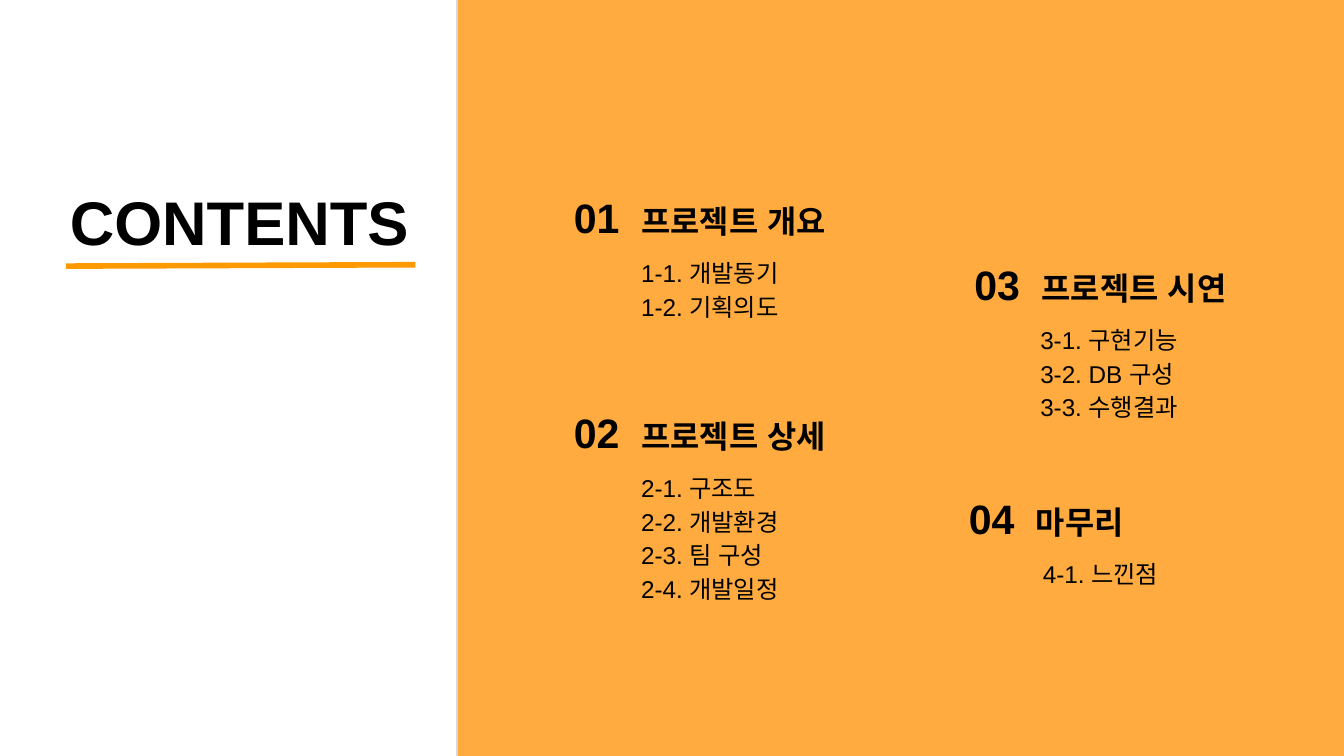
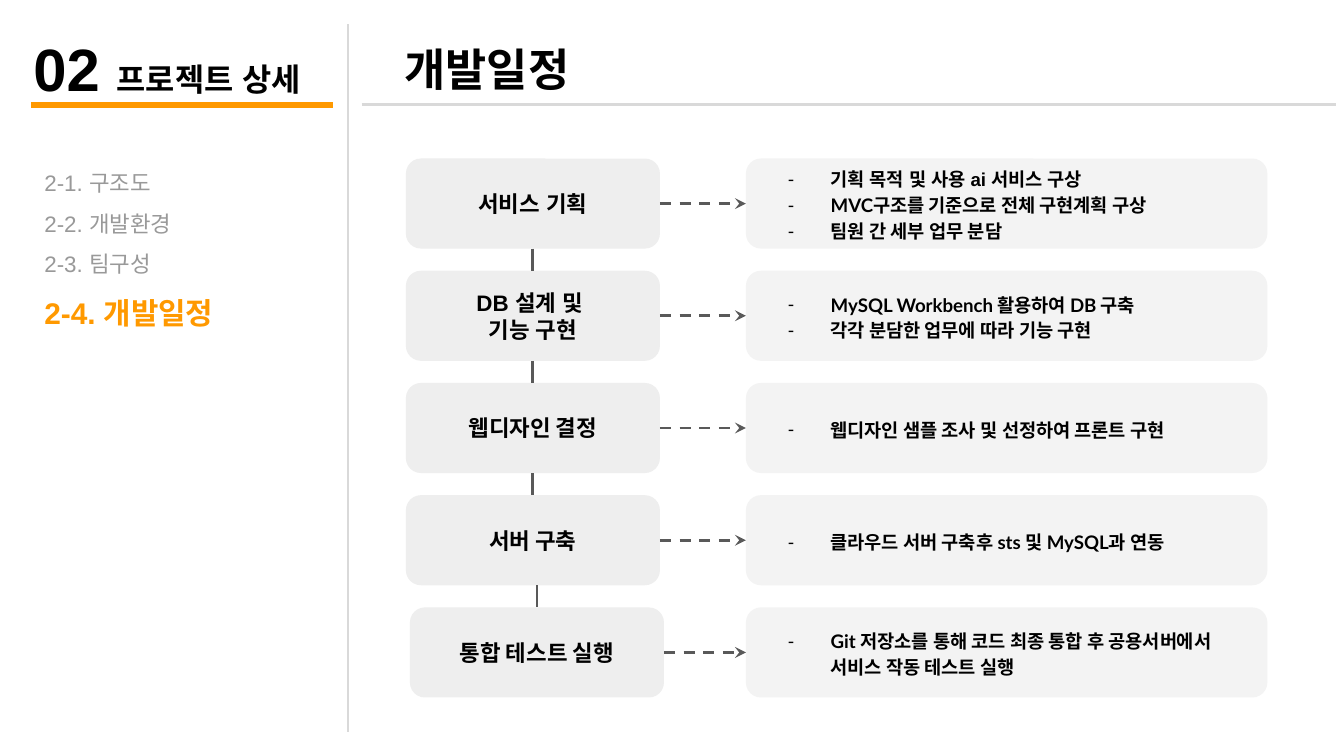
from dataclasses import dataclass

from lxml.etree import SubElement
from pptx import Presentation
from pptx.dml.color import RGBColor
from pptx.enum.dml import MSO_LINE
from pptx.enum.shapes import MSO_CONNECTOR, MSO_SHAPE
from pptx.enum.text import MSO_ANCHOR, MSO_AUTO_SIZE, PP_ALIGN
from pptx.oxml.ns import qn
from pptx.util import Inches, Pt


@dataclass(frozen=True)
class Theme:
    # Colours
    ink: str = "000000"
    panel: str = "FFAB40"
    accent: str = "FF9900"
    rule: str = "D9D9D9"
    muted: str = "999999"
    step: str = "EEEEEE"
    detail: str = "F3F3F3"
    flow: str = "595959"
    # Fonts
    sans: str = "Arial"
    korean: str = "Noto Sans CJK KR"
    latin: str = "Lato"
    # Type sizes
    contents: int = 33
    chapter: int = 32
    heading: int = 24
    number: int = 22
    section: int = 17
    current: int = 16
    item: int = 13
    label: int = 12
    note: int = 10


THEME = Theme()
SLIDE_WIDTH = 10
SLIDE_HEIGHT = SLIDE_WIDTH * 9 / 16

# Contents: number, section, heading corner, heading inset, list corner, list height, items
SECTIONS = [
    ("01", "프로젝트 개요", (3.95, 1.33), 0.32, (4.67, 1.79), 0.92,
     ["1-1. 개발동기", "1-2. 기획의도"]),
    ("02", "프로젝트 상세", (3.95, 2.93), 0.32, (4.67, 3.39), 1.43,
     ["2-1. 구조도", "2-2. 개발환경", "2-3. 팀 구성", "2-4. 개발일정"]),
    ("03", "프로젝트 시연", (6.93, 1.83), 0.32, (7.64, 2.29), 1.18,
     ["3-1. 구현기능", "3-2. DB 구성", "3-3. 수행결과"]),
    ("04", "마무리", (7.11, 3.57), 0.1, (7.66, 4.03), 0.42,
     ["4-1. 느낀점"]),
]

# Schedule: step lines, step font, left edge, details with their fonts
STEPS = [
    (["서비스 기획"], THEME.sans, 3.02,
     [("기획 목적 및 사용 ai 서비스 구상", THEME.sans),
      ("MVC구조를 기준으로 전체 구현계획 구상", THEME.latin),
      ("팀원 간 세부 업무 분담", THEME.latin)]),
    (["DB 설계 및 ", "기능 구현"], THEME.sans, 3.02,
     [("MySQL Workbench 활용하여 DB 구축", THEME.latin),
      ("각각 분담한 업무에 따라 기능 구현", THEME.latin)]),
    (["웹디자인 결정"], THEME.korean, 3.02,
     [("웹디자인 샘플 조사 및 선정하여 프론트 구현", THEME.latin)]),
    (["서버 구축"], THEME.korean, 3.02,
     [("클라우드 서버 구축후 sts 및 MySQL과 연동", THEME.latin)]),
    (["통합 테스트 실행"], THEME.korean, 3.05,
     [("Git 저장소를 통해 코드 최종 통합 후 공용서버에서 서비스 작동 테스트 실행", THEME.latin)]),
]
FIRST_TOP, LAST_TOP = 1.18, 4.52
STEP_WIDTH, ROW_HEIGHT = 1.89, 0.67
DETAIL_LEFT, DETAIL_WIDTH = 5.55, 3.88


def apply(target, values):
    for attribute, value in values.items():
        setattr(target, attribute, value)


def place(shape, left, top, width, height):
    names = ("left", "top", "width", "height")
    apply(shape, dict(zip(names, map(Inches, (left, top, width, height)))))


def set_frame(frame, anchor=MSO_ANCHOR.TOP, grow=True, inset=0.1):
    apply(frame, {
        "word_wrap": True,
        "auto_size": MSO_AUTO_SIZE.SHAPE_TO_FIT_TEXT if grow else MSO_AUTO_SIZE.NONE,
        "vertical_anchor": anchor,
        "margin_left": Inches(inset), "margin_right": Inches(0.1),
        "margin_top": Inches(0.1), "margin_bottom": Inches(0.1),
    })


def add_run(paragraph, text, size, color=THEME.ink, bold=True, font=THEME.sans):
    run = paragraph.add_run()
    run.text = text
    apply(run.font, {"name": font, "size": Pt(size), "bold": bold})
    run.font.color.rgb = RGBColor.from_string(color)
    for script in ("a:ea", "a:cs"):
        SubElement(run.font._element, qn(script), typeface=font)


def set_paragraph(paragraph, align=PP_ALIGN.LEFT, spacing=1.0, bullet=None, tab=None):
    properties = paragraph._p.get_or_add_pPr()
    margin, indent = (0.5, -0.32) if bullet else (0, 0)
    properties.set("marL", str(Inches(margin)))
    properties.set("indent", str(Inches(indent)))
    if bullet:
        color = SubElement(properties, qn("a:buClr"))
        SubElement(color, qn("a:srgbClr"), val=THEME.ink)
        SubElement(properties, qn("a:buFont"), typeface=THEME.latin)
        SubElement(properties, qn("a:buChar"), char=bullet)
    else:
        SubElement(properties, qn("a:buNone"))
    if tab:
        stops = SubElement(properties, qn("a:tabLst"))
        SubElement(stops, qn("a:tab"), pos=str(Inches(tab)), algn="l")
    apply(paragraph, {"alignment": align, "line_spacing": spacing,
                      "space_before": Pt(0), "space_after": Pt(0)})


def write_lines(frame, lines, **layout):
    """Each line is a list of runs; each run is a dict for add_run."""
    for index, runs in enumerate(lines):
        paragraph = frame.add_paragraph() if index else frame.paragraphs[0]
        set_paragraph(paragraph, **layout)
        for run in runs:
            add_run(paragraph, **run)


def fill_placeholder(placeholder, box, lines, spacing=1.0):
    place(placeholder, *box)
    set_frame(placeholder.text_frame)
    write_lines(placeholder.text_frame, lines, spacing=spacing)


def add_text(slide, box, lines, inset=0.1, tab=None):
    frame = slide.shapes.add_textbox(*map(Inches, box)).text_frame
    set_frame(frame, inset=inset)
    write_lines(frame, lines, tab=tab)


def add_block(slide, kind, box, color):
    block = slide.shapes.add_shape(kind, *map(Inches, box))
    block.shadow.inherit = False
    block.fill.solid()
    block.fill.fore_color.rgb = RGBColor.from_string(color)
    block.line.fill.background()
    return block


def add_card(slide, box, color, lines, **layout):
    card = add_block(slide, MSO_SHAPE.ROUNDED_RECTANGLE, box, color)
    set_frame(card.text_frame, MSO_ANCHOR.MIDDLE, grow=False)
    write_lines(card.text_frame, lines, **layout)


def add_line(slide, start, end, color, width=1.5, arrow=False):
    line = slide.shapes.add_connector(
        MSO_CONNECTOR.STRAIGHT, *map(Inches, (*start, *end)))
    line.line.color.rgb = RGBColor.from_string(color)
    line.line.width = Pt(width)
    if arrow:
        line.line.dash_style = MSO_LINE.DASH
        SubElement(line.line._ln, qn("a:tailEnd"), type="stealth")
    SubElement(line._element.spPr, qn("a:effectLst"))


def build_contents(prs):
    slide = prs.slides.add_slide(prs.slide_layouts[4])

    # Orange panel, behind the lists
    panel = add_block(slide, MSO_SHAPE.RECTANGLE, (3.4, 0, 6.72, SLIDE_HEIGHT), THEME.panel)
    panel.element.getparent().insert(2, panel.element)
    add_line(slide, (3.4, 0), (3.4, SLIDE_HEIGHT), THEME.rule)

    # Title
    fill_placeholder(slide.shapes.title, (0.42, 1.27, 2.76, 0.76),
                     [[dict(text="CONTENTS", size=THEME.contents)]])
    add_line(slide, (0.49, 1.98), (3.09, 1.97), THEME.accent, 3)

    # Section headings and their lists
    lists = [holder for holder in slide.placeholders if holder.placeholder_format.idx]
    for holder, section in zip(lists, SECTIONS):
        number, name, heading_at, inset, list_at, height, items = section
        add_text(slide, (*heading_at, 2.32, 0.57),
                 [[dict(text=f"{number}\t", size=THEME.number),
                   dict(text=name, size=THEME.section)]], inset=inset, tab=0.54)
        fill_placeholder(holder, (*list_at, 1.49, height),
                         [[dict(text=item, size=THEME.item, bold=False)] for item in items],
                         spacing=1.15)


def build_schedule(prs):
    slide = prs.slides.add_slide(prs.slide_layouts[1])

    # Dividers and title
    add_line(slide, (2.59, 0.18), (2.59, 5.45), THEME.rule)
    add_line(slide, (2.69, 0.78), (9.94, 0.78), THEME.rule)
    fill_placeholder(slide.shapes.title, (2.91, 0.21, 2, 0.61),
                     [[dict(text="개발일정", size=THEME.heading)]])

    # Chapter sidebar
    add_text(slide, (0.15, 0.14, 2.76, 0.74),
             [[dict(text="02 ", size=THEME.chapter),
               dict(text="프로젝트 상세", size=THEME.section)]])
    add_line(slide, (0.23, 0.78), (2.48, 0.78), THEME.accent, 3)
    topics = [[dict(text=topic, size=THEME.label, color=THEME.muted, bold=False)]
              for topic in ("2-1. 구조도", "2-2. 개발환경", "2-3. 팀구성")]
    topics.append([dict(text="2-4. 개발일정", size=THEME.current, color=THEME.accent)])
    fill_placeholder(slide.placeholders[1], (0.23, 1.06, 1.74, 1.38), topics, spacing=1.5)

    # Steps, their details and the flow lines
    pitch = (LAST_TOP - FIRST_TOP) / (len(STEPS) - 1)
    for row, (step, font, left, details) in enumerate(STEPS):
        top = FIRST_TOP + row * pitch
        middle, center = top + ROW_HEIGHT / 2, left + STEP_WIDTH / 2
        add_card(slide, (left, top, STEP_WIDTH, ROW_HEIGHT), THEME.step,
                 [[dict(text=line, size=THEME.label, font=font)] for line in step],
                 align=PP_ALIGN.CENTER)
        add_card(slide, (DETAIL_LEFT, top, DETAIL_WIDTH, ROW_HEIGHT), THEME.detail,
                 [[dict(text=text, size=THEME.note, font=face)] for text, face in details],
                 spacing=1.15, bullet="-")
        add_line(slide, (left + STEP_WIDTH, middle), (DETAIL_LEFT, middle),
                 THEME.flow, arrow=True)
        if row:
            add_line(slide, (center, top - pitch + ROW_HEIGHT), (center, top), THEME.flow)


def main():
    prs = Presentation()
    apply(prs, {"slide_width": Inches(SLIDE_WIDTH), "slide_height": Inches(SLIDE_HEIGHT)})
    build_contents(prs)
    build_schedule(prs)
    prs.save("out.pptx")


if __name__ == "__main__":
    main()
